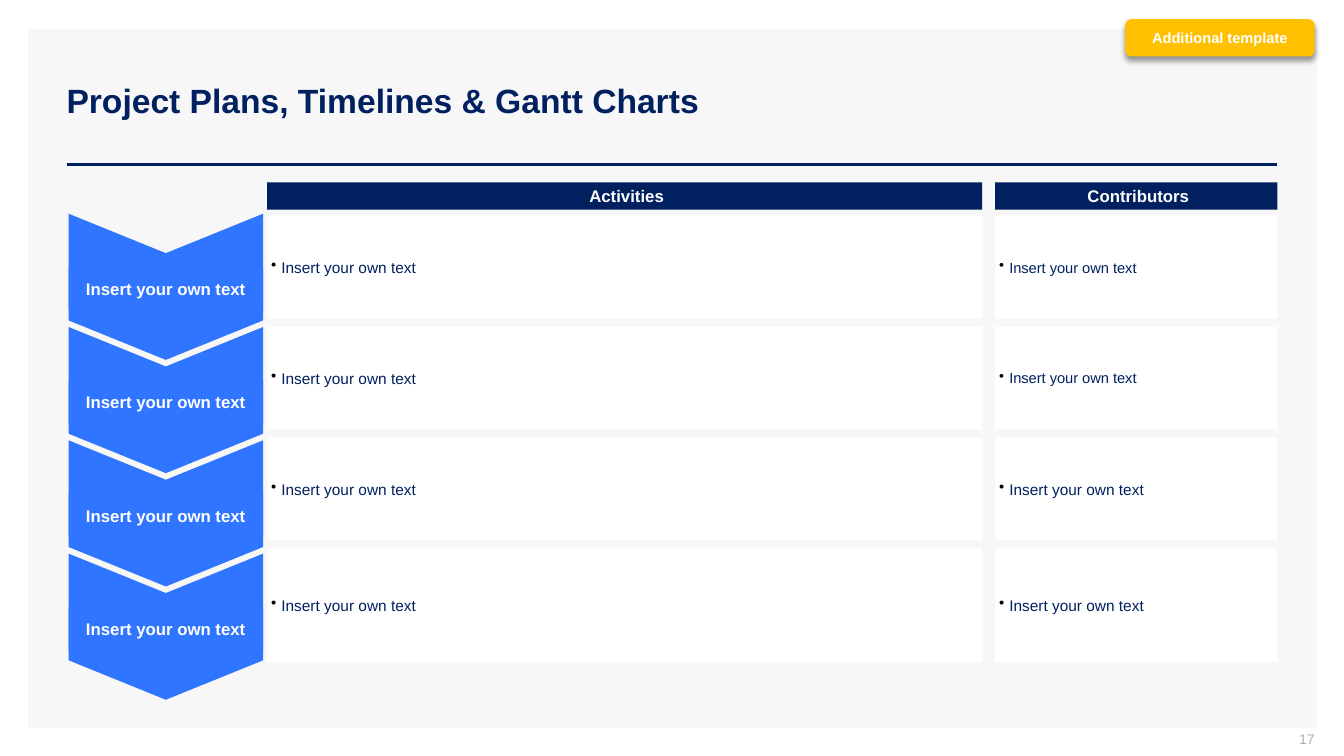
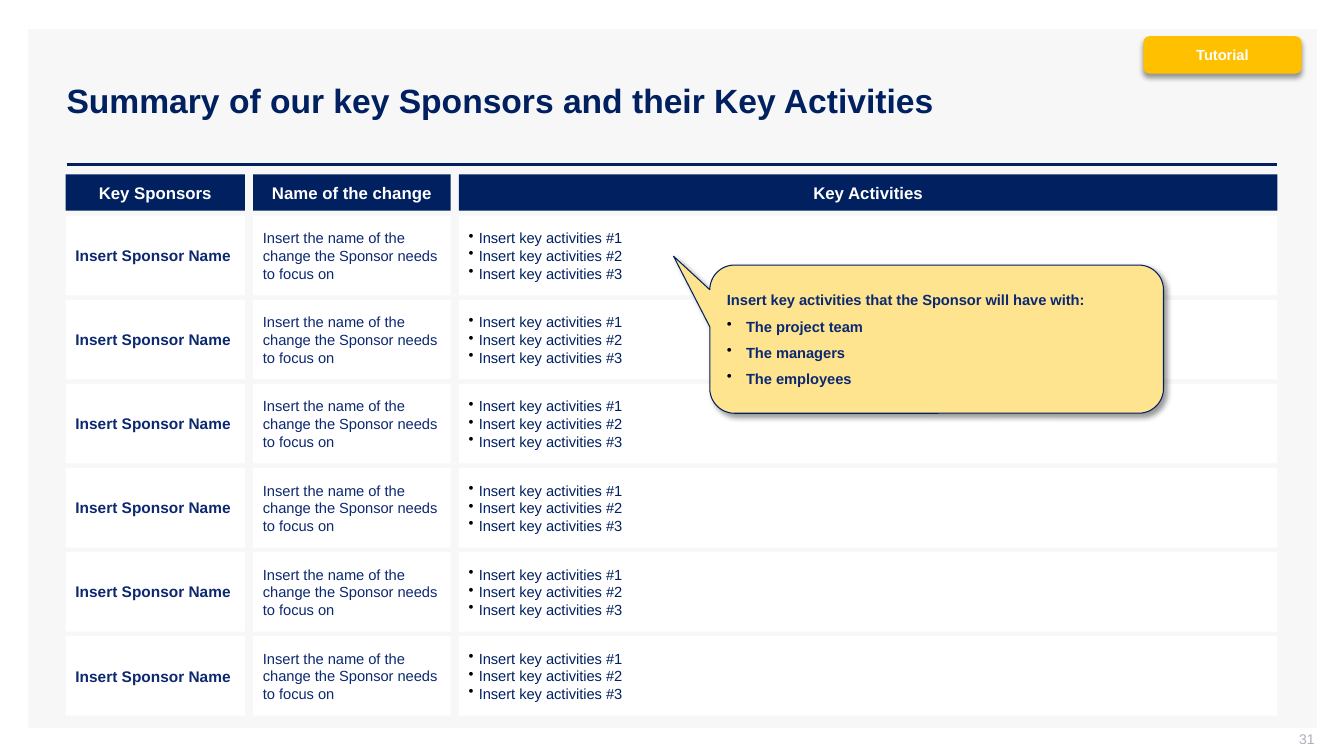
from dataclasses import dataclass

from lxml.etree import SubElement
from pptx import Presentation
from pptx.dml.color import RGBColor
from pptx.enum.shapes import MSO_CONNECTOR as Link, MSO_SHAPE as Form
from pptx.enum.text import MSO_ANCHOR as Anchor, MSO_AUTO_SIZE as Fit, PP_ALIGN as Align
from pptx.oxml.ns import qn
from pptx.util import Inches, Pt


@dataclass(frozen=True)
class Theme:
    font: str = "Arial"
    navy: str = "002060"
    ink: str = "0C2870"
    blue: str = "3075FF"
    gold: str = "FFC000"
    cream: str = "FFE48F"
    panel: str = "F7F7F7"
    white: str = "FFFFFF"
    grey: str = "ADAFBB"
    black: str = "000000"
    title: float = 24
    head: float = 12
    body: float = 11
    small: float = 10.5
    foot: float = 10


T = Theme()
PAD = (0.1, 0.05, 0.1, 0.05)
SLIM = (0.04, 0, 0, 0)
TIGHT = (0.02,) * 4


def rgb(code):
    return RGBColor.from_string(code)


def bullet(para, indent):
    props = para._p.get_or_add_pPr()
    props.set("marL", str(Inches(indent)))
    props.set("indent", str(-Inches(indent)))
    tint = SubElement(props, qn("a:buClr"))
    SubElement(tint, qn("a:srgbClr"), val=T.black)
    SubElement(props, qn("a:buChar"), char="•")


class Deck:
    def __init__(self):
        self.prs = Presentation()
        self.prs.slide_width = Inches(13.33)
        self.prs.slide_height = Inches(7.5)
        self.layout = self.prs.slide_layouts[5]
        self.slide = None

    def page(self, title, number):
        first = self.slide is None
        self.slide = self.prs.slides.add_slide(self.layout)
        if first:
            self.frame()
        head = self.slide.shapes.title
        head.left, head.top = Inches(0.56), Inches(0.4)
        head.width, head.height = Inches(12.11), Inches(1.19)
        self.text(head, [title], T.title, T.navy, bold=True, pad=PAD)
        foot = self.slide.shapes.add_textbox(
            Inches(10.04), Inches(7.25), Inches(3), Inches(0.21))
        self.text(foot, [number], T.foot, T.grey, align=Align.RIGHT,
                  pad=(0.1, 0, 0, 0.05))

    def frame(self):
        """Put the panel and the title rule on the layout, behind its placeholders."""
        panel = self.shape(Form.RECTANGLE, (0.28, 0.29, 12.78, 6.93), T.panel)
        rule = self.slide.shapes.add_connector(
            Link.STRAIGHT, Inches(0.66), Inches(1.63), Inches(12.67), Inches(1.63))
        rule.line.color.rgb = rgb(T.navy)
        rule.line.width = Pt(2)
        SubElement(rule.element.spPr, qn("a:effectLst"))
        anchor = self.layout.placeholders[0].element
        for part in (panel, rule):
            anchor.addprevious(part.element)

    def shape(self, form, at, fill):
        item = self.slide.shapes.add_shape(form, *map(Inches, at))
        item.shadow.inherit = False
        item.fill.solid()
        item.fill.fore_color.rgb = rgb(fill)
        item.line.fill.background()
        return item

    def shade(self, item, angle):
        effects = item.element.spPr.find(qn("a:effectLst"))
        cast = SubElement(effects, qn("a:outerShdw"), blurRad=str(Pt(4)),
                          dist=str(Pt(3)), dir=str(angle * 60000),
                          algn="ctr", rotWithShape="0")
        tint = SubElement(cast, qn("a:srgbClr"), val=T.black)
        SubElement(tint, qn("a:alpha"), val="40000")

    def text(self, item, lines, size, color, bold=False, align=Align.LEFT,
             pad=PAD, indent=0, bare=0, gap=0):
        """Fill item with lines; indent sets bullets on all but the first bare lines."""
        frame = item.text_frame
        frame.word_wrap = True
        frame.auto_size = Fit.NONE
        frame.vertical_anchor = Anchor.MIDDLE
        (frame.margin_left, frame.margin_top,
         frame.margin_right, frame.margin_bottom) = map(Inches, pad)
        for i, line in enumerate(lines):
            para = frame.add_paragraph() if i else frame.paragraphs[0]
            if indent and i >= bare:
                bullet(para, indent)
            para.alignment = align
            para.space_before = Pt(gap if i else 0)
            run = para.add_run()
            run.text = line
            run.font.name = T.font
            run.font.size = Pt(size)
            run.font.bold = bold
            run.font.color.rgb = rgb(color)

    def cell(self, at, lines, size, color=T.navy, **style):
        box = self.shape(Form.RECTANGLE, at, T.white)
        self.text(box, lines, size, color, **style)

    def label(self, at, words, fill=T.navy, pad=TIGHT):
        box = self.shape(Form.RECTANGLE, at, fill)
        self.text(box, [words], T.head, T.white, bold=True,
                  align=Align.CENTER, pad=pad)

    def step(self, top, words):
        """Draw a downward chevron with an upright label."""
        arrow = self.shape(Form.CHEVRON, (0.92, top, 1.45, 1.93), T.blue)
        arrow.adjustments[0] = 0.27
        arrow.rotation = 90
        self.label((0.68, top + 0.77, 1.93, 0.43), words, T.blue)

    def badge(self, at, words):
        tag = self.shape(Form.ROUNDED_RECTANGLE, at, T.gold)
        self.shade(tag, 90)
        self.text(tag, [words], T.small, T.white, bold=True, align=Align.CENTER)

    def callout(self, at, tip, lines):
        note = self.shape(Form.ROUNDED_RECTANGULAR_CALLOUT, at, T.cream)
        note.adjustments[0], note.adjustments[1] = tip
        note.line.color.rgb = rgb(T.navy)
        note.line.width = Pt(0.75)
        self.shade(note, 45)
        self.text(note, lines, T.small, T.ink, bold=True,
                  indent=0.19, bare=1, gap=6)


def plan(deck):
    deck.page("Project Plans, Timelines & Gantt Charts", "17")
    words = "Insert your own text"
    cols = [
        ("Activities", 2.65, 7.09, [T.body] * 4),
        ("Contributors", 9.87, 2.8, [T.small] * 2 + [T.body] * 2),
    ]
    for head, left, width, sizes in cols:
        deck.label((left, 1.81, width, 0.27), head, pad=SLIM)
        for i, size in enumerate(sizes):
            high = 1.13 if i == 3 else 1.02
            deck.cell((left, 2.14 + 1.1 * i, width, high), [words], size,
                      pad=SLIM, indent=0.1)
    for i in range(4):
        deck.step(1.88 + 1.124 * i, words)
    deck.badge((11.16, 0.19, 1.88, 0.37), "Additional template")


def sponsors(deck):
    deck.page("Summary of our key Sponsors and their Key Activities", "31")
    tasks = [f"Insert key activities #{n}" for n in (1, 2, 3)]
    focus = "Insert the name of the change the Sponsor needs to focus on"
    cols = [
        ("Key Sponsors", 0.65, 1.78, ["Insert Sponsor Name"],
         dict(size=T.body, color=T.ink, bold=True)),
        ("Name of the change", 2.51, 1.96, [focus],
         dict(size=T.small, color=T.ink)),
        ("Key Activities", 4.55, 8.12, tasks, dict(size=T.small, indent=0.1)),
    ]
    for head, left, width, lines, style in cols:
        deck.label((left, 1.73, width, 0.36), head)
        for i in range(6):
            deck.cell((left, 2.14 + 0.834 * i, width, 0.79), lines, **style)
    deck.callout((7.04, 2.63, 4.5, 1.47), (-0.58, -0.56), [
        "Insert key activities that the Sponsor will have with:",
        "The project team", "The managers", "The employees"])
    deck.badge((11.34, 0.36, 1.57, 0.37), "Tutorial")


def main():
    deck = Deck()
    plan(deck)
    sponsors(deck)
    deck.prs.save("out.pptx")


if __name__ == "__main__":
    main()
